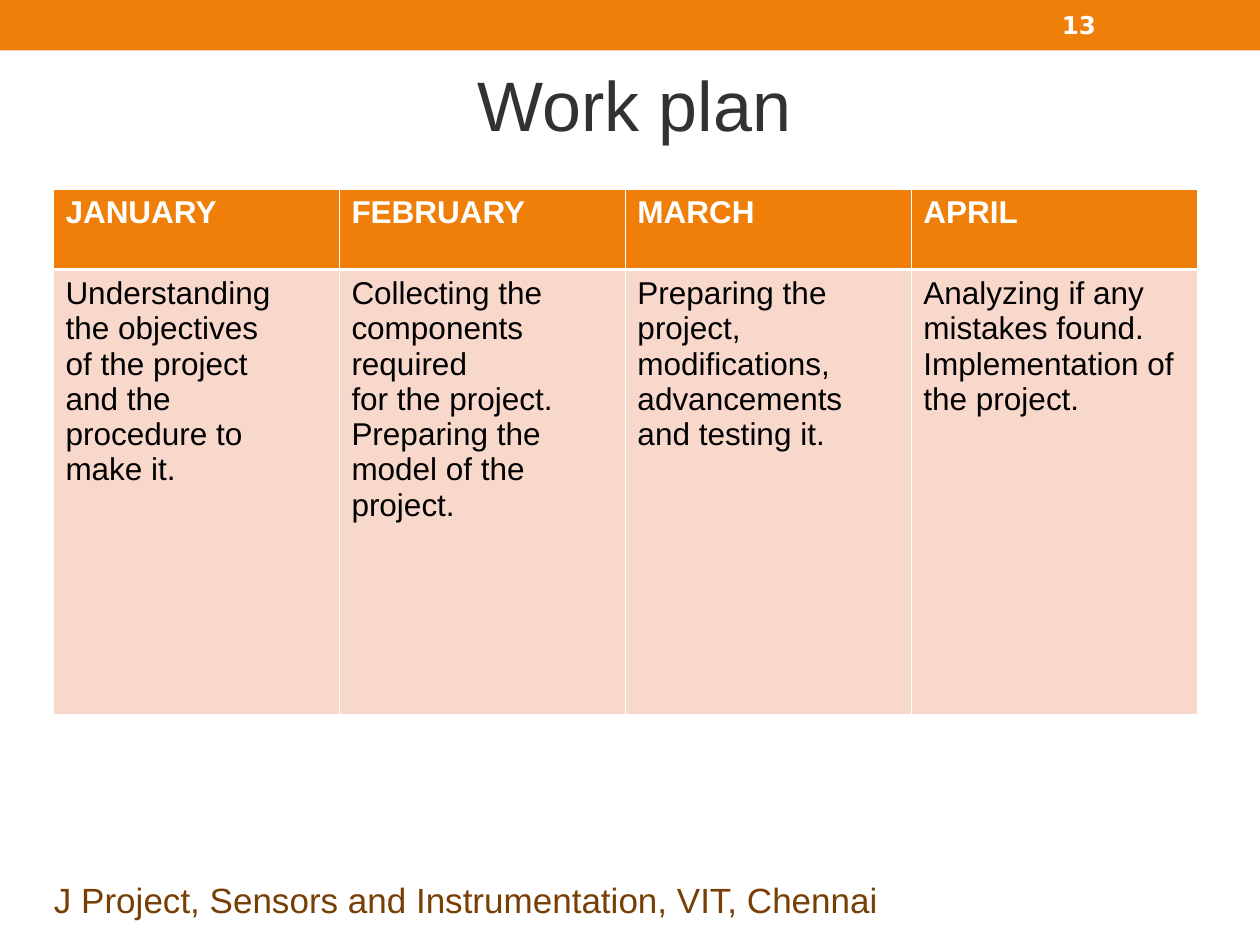
from pptx import Presentation
from pptx.dml.color import RGBColor
from pptx.enum.shapes import MSO_SHAPE as SHAPE
from pptx.enum.text import MSO_ANCHOR as ANCHOR, PP_ALIGN as ALIGN
from pptx.oxml import parse_xml
from pptx.oxml.ns import nsdecls
from pptx.util import Inches, Pt

ORANGE, PEACH, WHITE = "F07F09", "F9D8CC", "FFFFFF"


def rgb(value):
    return RGBColor.from_string(value)


def write(tf, lines, color, align=ALIGN.LEFT, **fmt):
    """Fill a text frame with one paragraph per line."""
    tf.word_wrap = True
    for i, line in enumerate(lines):
        p = tf.paragraphs[0] if i == 0 else tf.add_paragraph()
        p.alignment = align
        r = p.add_run()
        r.text = line
        r.font.color.rgb = rgb(color)
        for name, value in fmt.items():
            setattr(r.font, name, value)


prs = Presentation()
prs.slide_width, prs.slide_height = Inches(10), Inches(7.5)
s = prs.slides.add_slide(prs.slide_layouts[6])

# Top band
band = s.shapes.add_shape(SHAPE.RECTANGLE, 0, 0, prs.slide_width, Inches(0.4))
band.shadow.inherit = False
band.fill.solid()
band.fill.fore_color.rgb = rgb(ORANGE)
band.line.fill.background()

# Footer, title and page number
texts = [
    ("J Project, Sensors and Instrumentation, VIT, Chennai",
     (0.33, 6.92, 8.25, 0.44), ANCHOR.TOP,
     dict(color="783F05", size=Pt(20), name="Arial")),
    ("Work plan", (0.58, 0.33, 8.91, 0.98), ANCHOR.MIDDLE,
     dict(color="323232", size=Pt(40), name="Arial", align=ALIGN.CENTER)),
    ("13", (8.33, 0.02, 1.17, 0.36), ANCHOR.MIDDLE,
     dict(color=WHITE, size=Pt(14), name="DejaVu Sans", bold=True)),
]
for text, box, anchor, fmt in texts:
    tf = s.shapes.add_textbox(*map(Inches, box)).text_frame
    tf.vertical_anchor = anchor
    write(tf, [text], **fmt)

# Work plan table: one column per month
plan = {
    "JANUARY": ["Understanding", "the objectives", "of the project",
                "and the", "procedure to make it."],
    "FEBRUARY": ["Collecting the", "components required",
                 "for the project.", "Preparing the model of the project."],
    "MARCH": ["Preparing the project,", "modifications,",
              "advancements and testing it."],
    "APRIL": ["Analyzing if any mistakes found.",
              "Implementation of the project."],
}
table = s.shapes.add_table(2, len(plan), Inches(0.42), Inches(1.5),
                           Inches(9.08), Inches(4.17)).table
for row, height in zip(table.rows, (0.64, 3.53)):
    row.height = Inches(height)

# Row formats: fill, text colour, bold, heavy border side
row_formats = [(ORANGE, WHITE, True, "B"), (PEACH, "000000", False, "T")]
for col, (month, tasks) in enumerate(plan.items()):
    for row, lines in enumerate(([month], tasks)):
        fill, color, bold, heavy = row_formats[row]
        cell = table.cell(row, col)
        write(cell.text_frame, lines, color, size=Pt(18), name="Arial", bold=bold)
        tcPr = cell._tc.get_or_add_tcPr()
        for side in "LRTB":
            width = Pt(1.47 if side == heavy else 0.45)
            tcPr.append(parse_xml(
                f'<a:ln{side} {nsdecls("a")} w="{width}"><a:solidFill>'
                f'<a:srgbClr val="{WHITE}"/></a:solidFill></a:ln{side}>'))
        cell.fill.solid()
        cell.fill.fore_color.rgb = rgb(fill)

prs.save("out.pptx")
